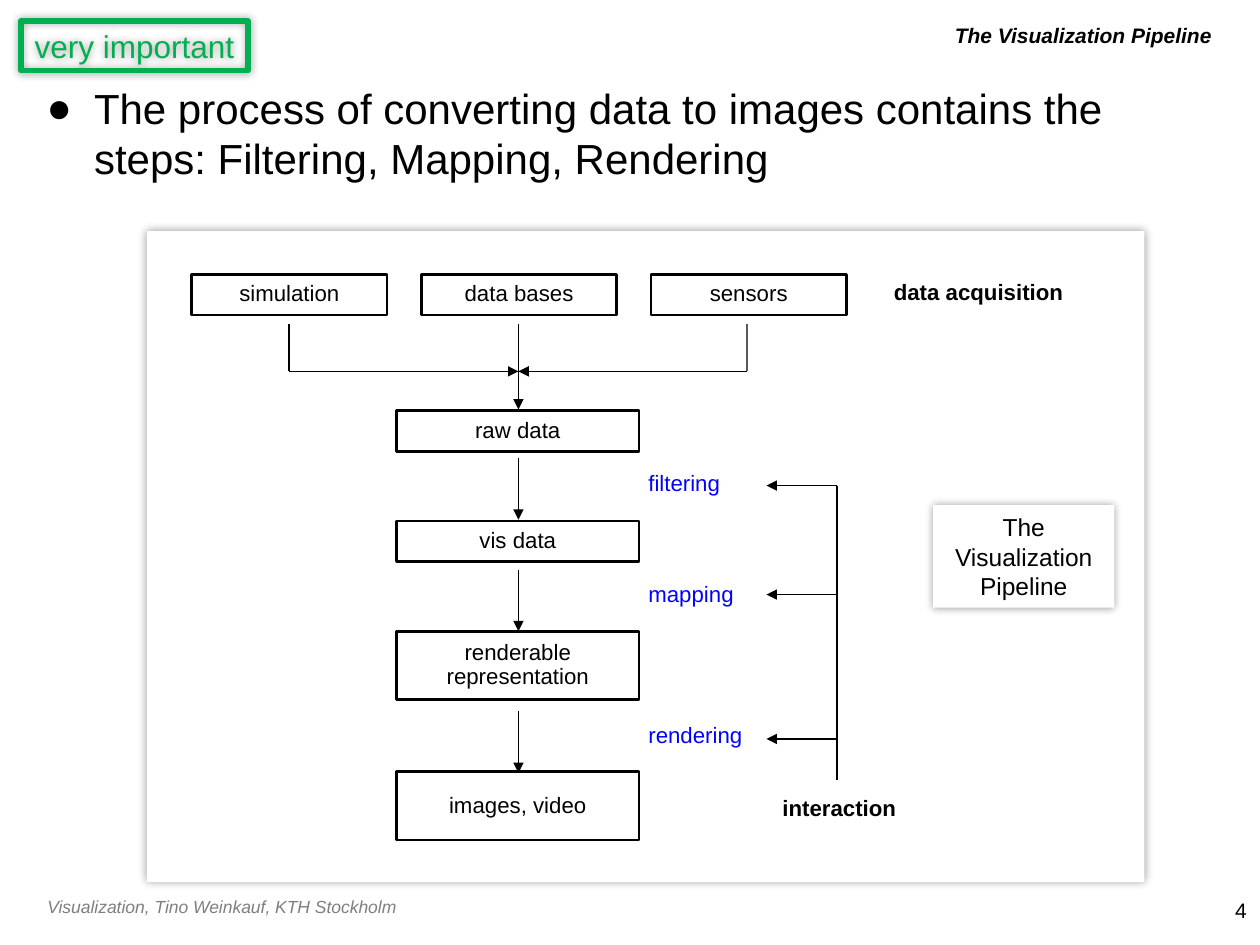
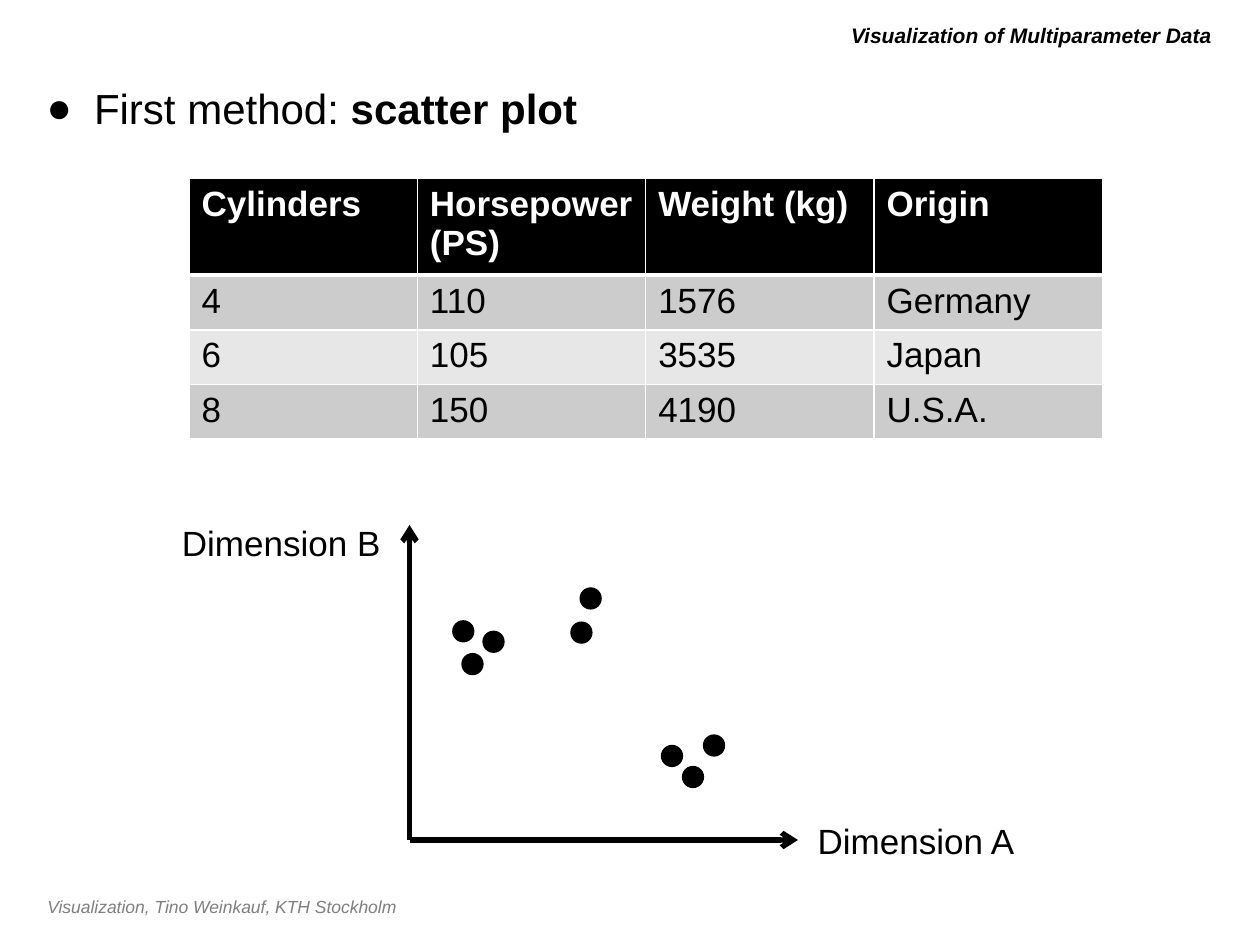
import pptx
import pptx.util
import pptx.dml.color
import pptx.enum.shapes
import pptx.enum.text
import pptx.oxml
import pptx.oxml.ns
import lxml.etree

PX = 9525  # EMU in one px, on a slide of 960 x 720 px
FONT = "Arial"
BLACK, WHITE, GREY, BLUE, GREEN = "000000", "FFFFFF", "7F7F7F", "0200FF", "00B050"
DIAGRAM_SIZE = 12.7
DIAGRAM_INSET = (3, 3)

rgb = pptx.dml.color.RGBColor.from_string
qn = pptx.oxml.ns.qn
Pt = pptx.util.Pt
ALIGN = pptx.enum.text.PP_ALIGN
ANCHOR = pptx.enum.text.MSO_ANCHOR
SHAPE = pptx.enum.shapes.MSO_SHAPE


def box(shapes, at, text="", size=DIAGRAM_SIZE, color=BLACK, fill=None, line=None,
        width=1.5, align=ALIGN.CENTER, bold=False, italic=False, inset=(10, 5),
        spacing=None, wrap=True, preset=SHAPE.RECTANGLE):
    """Add a preset shape, or a text box when there is neither fill nor line."""
    place = [n * PX for n in at]
    if fill or line:
        part = shapes.add_shape(preset, *place)
        part.shadow.inherit = False
        if fill:
            part.fill.solid()
            part.fill.fore_color.rgb = rgb(fill)
        else:
            part.fill.background()
        if line:
            part.line.color.rgb = rgb(line)
            part.line.width = Pt(width)
        else:
            part.line.fill.background()
    else:
        part = shapes.add_textbox(*place)
    if text:
        frame = part.text_frame
        frame.word_wrap = wrap
        frame.vertical_anchor = ANCHOR.MIDDLE
        frame.margin_left = frame.margin_right = inset[0] * PX
        frame.margin_top = frame.margin_bottom = inset[1] * PX
        paragraph = frame.paragraphs[0]
        paragraph.alignment = align
        paragraph.line_spacing = spacing
        run = paragraph.add_run()
        run.text = text
        run.font.name, run.font.size = FONT, Pt(size)
        run.font.bold, run.font.italic = bold, italic
        run.font.color.rgb = rgb(color)
    return part


def connect(shapes, start, end, arrow=None, color=BLACK, width=1):
    """Add a straight line, with an arrowhead at its end if one is named."""
    line = shapes.add_connector(pptx.enum.shapes.MSO_CONNECTOR.STRAIGHT,
                                *[n * PX for n in (*start, *end)])
    line.line.color.rgb = rgb(color)
    line.line.width = Pt(width)
    if arrow:
        lxml.etree.SubElement(line.line._get_or_add_ln(), qn("a:tailEnd"), type=arrow)
    lxml.etree.SubElement(line._element.spPr, qn("a:effectLst"))


deck = pptx.Presentation()
deck.slide_width, deck.slide_height = 960 * PX, 720 * PX

# Title, bullet and footer of every slide
contents = [
    ("The Visualization Pipeline",
     [("The process of converting data to images contains the steps: "
       "Filtering, Mapping, Rendering", False)]),
    ("Visualization of Multiparameter Data",
     [("First method: ", False), ("scatter plot", True)]),
]
slides = []
for heading, bullet_parts in contents:
    slide = deck.slides.add_slide(deck.slide_layouts[1])
    slides.append(slide)
    box(slide.shapes, (26, 678, 709, 26), "Visualization, Tino Weinkauf, KTH Stockholm",
        10, GREY, align=ALIGN.LEFT, italic=True)

    title, body = slide.shapes.title, slide.placeholders[1]
    for holder, at, anchor in ((title, (152, 12, 781, 30), ANCHOR.MIDDLE),
                               (body, (26, 58, 907, 605), ANCHOR.TOP)):
        holder.left, holder.top, holder.width, holder.height = [n * PX for n in at]
        holder.text_frame.vertical_anchor = anchor
        holder.text_frame.auto_size = pptx.enum.text.MSO_AUTO_SIZE.NONE

    paragraph = title.text_frame.paragraphs[0]
    paragraph.alignment = ALIGN.RIGHT
    run = paragraph.add_run()
    run.text = heading
    run.font.name, run.font.size = FONT, Pt(12)
    run.font.bold = run.font.italic = True
    run.font.color.rgb = rgb(BLACK)

    paragraph = body.text_frame.paragraphs[0]
    properties = paragraph._p.get_or_add_pPr()
    properties.set("marL", str(36 * PX))
    properties.set("indent", str(-36 * PX))
    lxml.etree.SubElement(properties, qn("a:buFont"), typeface=FONT)
    lxml.etree.SubElement(properties, qn("a:buChar"), char="●")
    paragraph.space_before = Pt(0)
    for words, bold in bullet_parts:
        run = paragraph.add_run()
        run.text = words
        run.font.name, run.font.size, run.font.bold = FONT, Pt(24), bold
        run.font.color.rgb = rgb(BLACK)

pipeline_slide, scatter_slide = slides

# Slide 1: the pipeline diagram
box(pipeline_slide.shapes, (760, 678, 200, 31), "4", 12, align=ALIGN.RIGHT)
diagram = pipeline_slide.shapes.add_group_shape().shapes
panel = box(diagram, (112, 176, 760, 496), fill=WHITE)

stage_x, join_y, interaction_x = 395, 283, 638
node_style = dict(fill=WHITE, line=BLACK, inset=DIAGRAM_INSET, spacing=0.9)
for column, source in enumerate(("simulation", "data bases", "sensors")):
    box(diagram, (146 + 175 * column, 209, 149, 31), source, **node_style)
for top, height, stage in ((313, 31, "raw data"), (397, 31, "vis data"),
                           (481, 52, "renderable representation"),
                           (588, 52, "images, video")):
    box(diagram, (302, top, 185, height), stage, **node_style)

for start_y, end_y in ((247, 312), (349, 396), (434, 481), (542, 589)):
    connect(diagram, (stage_x, start_y), (stage_x, end_y), "triangle")
for source_x, color in ((220, BLACK), (569, "595959")):
    connect(diagram, (source_x, 247), (source_x, join_y), color=color)
    connect(diagram, (source_x, join_y), (stage_x, join_y), "triangle")

for top, arrow_y, step in ((353, 370, "filtering"), (438, 453, "mapping"),
                           (545, 563, "rendering")):
    box(diagram, (491, top, 125, 29), step, color=BLUE, align=ALIGN.LEFT,
        inset=DIAGRAM_INSET)
    connect(diagram, (interaction_x, arrow_y), (584, arrow_y), "triangle")
connect(diagram, (interaction_x, 370), (interaction_x, 594))
for at, caption in (((565, 601, 149, 29), "interaction"),
                    ((653, 208, 185, 29), "data acquisition")):
    box(diagram, at, caption, bold=True, inset=DIAGRAM_INSET)

pipeline_label = box(diagram, (711, 385, 138, 78), "The Visualization Pipeline", 14,
                     fill=WHITE)
importance = box(pipeline_slide.shapes, (16, 16, 173, 38), "very important", 18, GREEN,
                 line=GREEN, width=3, wrap=False)
for part in (panel, pipeline_label, importance):
    effects = part._element.spPr.find(qn("a:effectLst"))
    glow = lxml.etree.SubElement(effects, qn("a:outerShdw"), blurRad=str(Pt(5)),
                                 dist="0", dir="0", algn="ctr", rotWithShape="0")
    shade = lxml.etree.SubElement(glow, qn("a:srgbClr"), val=BLACK)
    lxml.etree.SubElement(shade, qn("a:alpha"), val="40000")

# Slide 2: table of cars
cars = [
    ("Cylinders", "Horsepower (PS)", "Weight (kg)", "Origin"),
    ("4", "110", "1576", "Germany"),
    ("6", "105", "3535", "Japan"),
    ("8", "150", "4190", "U.S.A."),
]
row_fills = (BLACK, "CCCCCC", "E7E7E7", "CCCCCC")
table = scatter_slide.shapes.add_table(4, 4, 144 * PX, 136 * PX, 696 * PX, 184 * PX).table
for column in table.columns:
    column.width = 174 * PX
for r, car in enumerate(cars):
    table.rows[r].height = (39 if r else 67) * PX
    for c, value in enumerate(car):
        cell = table.cell(r, c)
        borders = cell._tc.get_or_add_tcPr()
        for side in "LRTB":
            thick = (side, r) in (("B", 0), ("T", 1))
            border = lxml.etree.SubElement(borders, qn("a:ln" + side),
                                           w=str(Pt(3 if thick else 1)))
            paint = lxml.etree.SubElement(border, qn("a:solidFill"))
            lxml.etree.SubElement(paint, qn("a:srgbClr"), val=WHITE)
        cell.fill.solid()
        cell.fill.fore_color.rgb = rgb(row_fills[r])
        run = cell.text_frame.paragraphs[0].add_run()
        run.text = value
        run.font.name, run.font.size, run.font.bold = FONT, Pt(20), r == 0
        run.font.color.rgb = rgb(BLACK if r else WHITE)

# Slide 2: scatter plot
origin = (312, 640)
for axis_end in ((312, 400), (608, 640)):
    connect(scatter_slide.shapes, origin, axis_end, "arrow", width=3)
for x, y in ((442, 448), (368, 481), (520, 584), (435, 474),
             (352, 498), (345, 473), (536, 560), (504, 568)):
    box(scatter_slide.shapes, (x, y, 16, 16), fill=BLACK, line=BLACK, width=0.75,
        preset=SHAPE.OVAL)
for at, dimension, align in (((613, 619, 171, 42), "Dimension A", ALIGN.LEFT),
                             ((128, 392, 172, 42), "Dimension B", ALIGN.RIGHT)):
    box(scatter_slide.shapes, at, dimension, 20, align=align, wrap=False)

deck.save("out.pptx")
